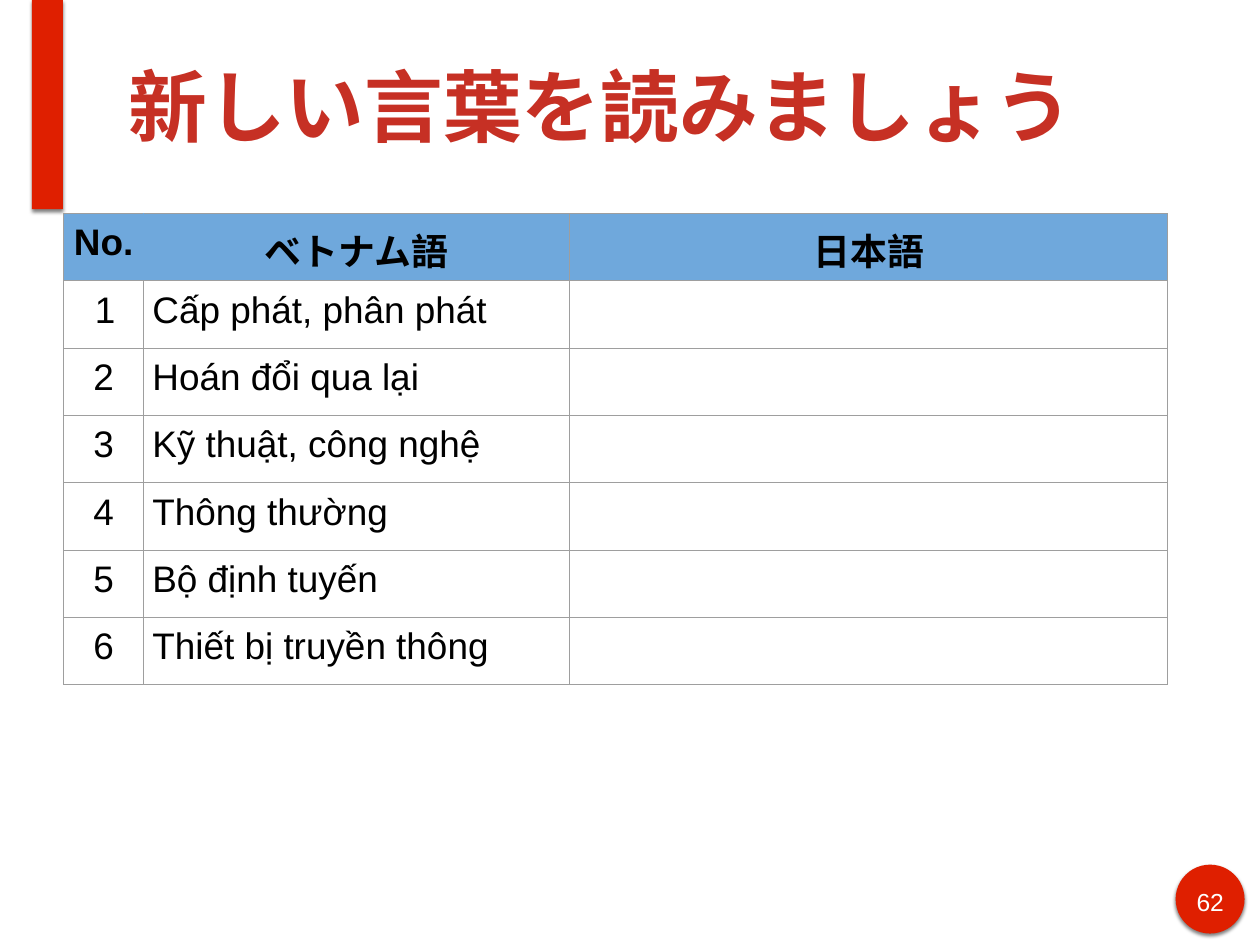
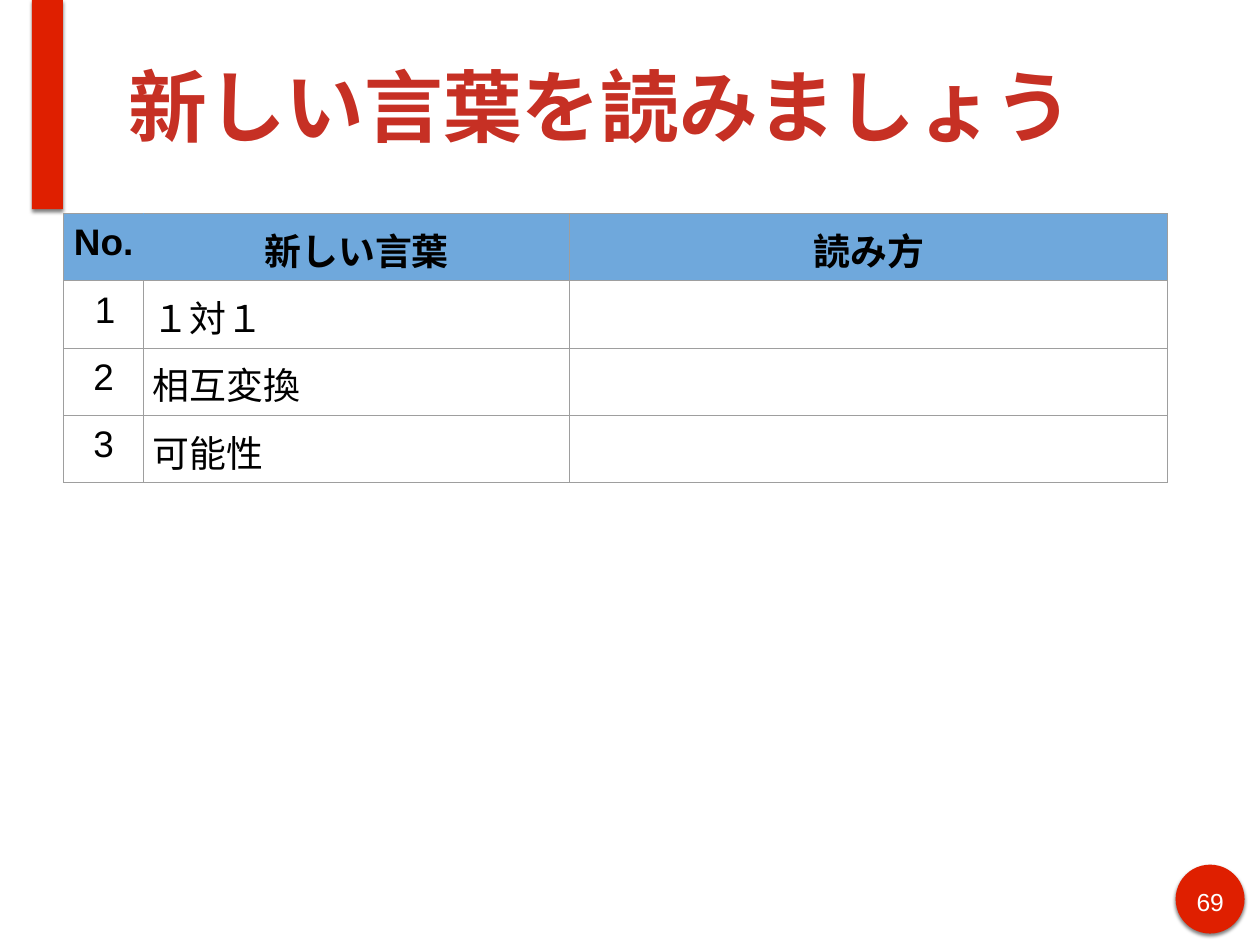
from dataclasses import dataclass

from lxml.etree import SubElement
from pptx import Presentation
from pptx.dml.color import RGBColor
from pptx.enum.shapes import MSO_SHAPE as Preset
from pptx.enum.text import MSO_ANCHOR as Anchor, MSO_AUTO_SIZE as AutoSize, PP_ALIGN as Align
from pptx.oxml.ns import qn
from pptx.util import Emu, Inches, Pt


@dataclass(frozen=True)
class Theme:
    """Colours, type sizes and font shared by the slides."""
    font: str = "Arial"
    accent: str = "DF1F00"
    title: str = "C63024"
    header: str = "6FA8DC"
    border: str = "9E9E9E"
    ink: str = "000000"
    paper: str = "FFFFFF"
    title_size: int = 64
    table_size: int = 30
    number_size: int = 20


THEME = Theme()
COLUMNS, ROWS = 128, 96
UNIT = Pt(8)
TABLE_COLUMNS = (8.1, 43.3, 60.75)
TABLE_ROW = 6.84
TITLE = "新しい言葉を読みましょう"
SLIDES = (
    ("62", ("No.", "ベトナム語", "日本語"),
     ("Cấp phát, phân phát", "Hoán đổi qua lại", "Kỹ thuật, công nghệ",
      "Thông thường", "Bộ định tuyến", "Thiết bị truyền thông")),
    ("69", ("No.", "新しい言葉", "読み方"),
     ("１対１", "相互変換", "可能性")),
)


def grid(*lengths):
    """Turn grid lengths into slide lengths."""
    return [Emu(round(length * UNIT)) for length in lengths]


def write(frame, text, size, color, bold=False, align=Align.LEFT):
    """Write one formatted paragraph and return it."""
    paragraph = frame.paragraphs[0]
    paragraph.text = text
    paragraph.alignment = align
    font = paragraph.font
    font.name, font.size, font.bold = THEME.font, Pt(size), bold
    font.color.rgb = RGBColor.from_string(color)
    return paragraph


def set_margins(frame, margin):
    """Give a text frame or cell the same margin on every side."""
    frame.margin_left = frame.margin_right = margin
    frame.margin_top = frame.margin_bottom = margin


def add_accent(slide, preset, *box):
    """Add an accent shape with a soft shadow below it."""
    shape = slide.shapes.add_shape(preset, *grid(*box))
    shape.fill.solid()
    shape.fill.fore_color.rgb = RGBColor.from_string(THEME.accent)
    shape.line.fill.background()
    shape.shadow.inherit = False
    effects = shape._element.spPr.find(qn("a:effectLst"))
    shadow = SubElement(effects, qn("a:outerShdw"), blurRad=str(Pt(3)), dist=str(Pt(2)),
                        dir="5400000", algn="ctr", rotWithShape="0")
    color = SubElement(shadow, qn("a:srgbClr"), val=THEME.ink)
    SubElement(color, qn("a:alpha"), val="50000")


def add_number(slide, number):
    """Add the slide number in its badge."""
    add_accent(slide, Preset.OVAL, 119.43, 87.84, 7, 7)
    frame = slide.shapes.add_textbox(*grid(120.75, 89.55, 4.4, 3.5)).text_frame
    frame.word_wrap = True
    set_margins(frame, Inches(0.06))
    write(frame, number, THEME.number_size, THEME.paper, align=Align.CENTER)


def set_title(slide, text):
    """Place and format the title placeholder."""
    title = slide.shapes.title
    title.left, title.top, title.width, title.height = grid(12.5, 1.08, 109.25, 19.08)
    frame = title.text_frame
    frame.auto_size = AutoSize.NONE
    frame.vertical_anchor = Anchor.MIDDLE
    set_margins(frame, Inches(0.06))
    write(frame, text, THEME.title_size, THEME.title, bold=True)


def set_borders(cell, hidden=""):
    """Draw the four cell borders, blending the hidden side into the header."""
    properties = cell._tc.get_or_add_tcPr()
    for side in "LRTB":
        line = SubElement(properties, qn(f"a:ln{side}"), w=str(Pt(0.75)))
        fill = SubElement(line, qn("a:solidFill"))
        SubElement(fill, qn("a:srgbClr"), val=THEME.header if side == hidden else THEME.border)


def style_cell(cell, is_header, hidden=""):
    """Set the borders, margins and fill of a cell."""
    set_borders(cell, hidden)
    set_margins(cell, Inches(0.1))
    if is_header:
        cell.fill.solid()
        cell.fill.fore_color.rgb = RGBColor.from_string(THEME.header)
    else:
        cell.fill.background()


def add_word_table(slide, headings, words):
    """Add the numbered word table with an empty answer column."""
    rows = [headings] + [(str(index), word, "") for index, word in enumerate(words, 1)]
    box = grid(6.48, 21.69, sum(TABLE_COLUMNS), TABLE_ROW * len(rows))
    table = slide.shapes.add_table(len(rows), len(headings), *box).table
    table.first_row = table.horz_banding = False
    for column, width in zip(table.columns, grid(*TABLE_COLUMNS)):
        column.width = width
    for row_index, texts in enumerate(rows):
        table.rows[row_index].height = grid(TABLE_ROW)[0]
        is_header = row_index == 0
        for column_index, text in enumerate(texts):
            cell = table.cell(row_index, column_index)
            style_cell(cell, is_header, ("R", "L", "")[column_index] if is_header else "")
            if text:
                centred = is_header or column_index == 0 and row_index > 1
                write(cell.text_frame, text, THEME.table_size, THEME.ink, bold=is_header,
                      align=Align.CENTER if centred else Align.LEFT)
    indent = table.cell(1, 0).text_frame.paragraphs[0]._p.get_or_add_pPr()
    indent.set("marL", str(Inches(0.5)))
    indent.set("indent", str(Inches(-0.25)))


def add_word_slide(presentation, number, headings, words):
    """Add one vocabulary slide."""
    slide = presentation.slides.add_slide(presentation.slide_layouts.get_by_name("Title Only"))
    add_accent(slide, Preset.RECTANGLE, 3.24, 0, 3.15, 21.24)
    add_number(slide, number)
    set_title(slide, TITLE)
    add_word_table(slide, headings, words)


def main():
    """Build and save the presentation."""
    presentation = Presentation()
    presentation.slide_width, presentation.slide_height = grid(COLUMNS, ROWS)
    for number, headings, words in SLIDES:
        add_word_slide(presentation, number, headings, words)
    presentation.save("out.pptx")


if __name__ == "__main__":
    main()
